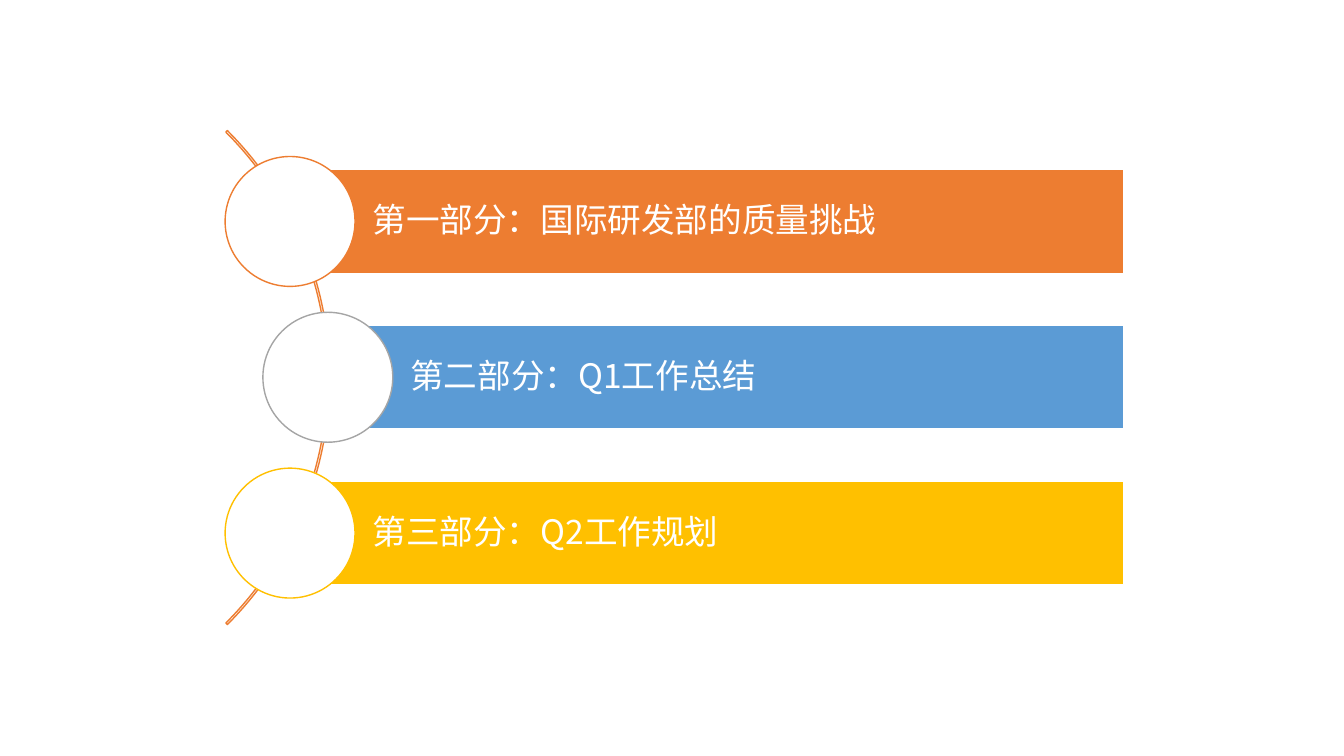
from pptx import Presentation
from pptx.dml.color import RGBColor
from pptx.enum.shapes import MSO_SHAPE
from pptx.enum.text import MSO_ANCHOR, PP_ALIGN
from pptx.oxml.ns import qn
from pptx.util import Pt

ARC, BAR, DISC = MSO_SHAPE.BLOCK_ARC, MSO_SHAPE.RECTANGLE, MSO_SHAPE.OVAL
MIDDLE, LEFT = MSO_ANCHOR.MIDDLE, PP_ALIGN.LEFT

WHITE = RGBColor(0xFF, 0xFF, 0xFF)
ORANGE = RGBColor(0xED, 0x7D, 0x31)
BLUE = RGBColor(0x5B, 0x9B, 0xD5)
GREY = RGBColor(0xA5, 0xA5, 0xA5)
GOLD = RGBColor(0xFF, 0xC0, 0x00)
FONT = "Noto Sans CJK SC"

# Agenda: heading, bar colour, disc outline, left edge of the bar
SECTIONS = [
    ("第一部分：国际研发部的质量挑战", ORANGE, ORANGE, 207.2),
    ("第二部分：Q1工作总结", BLUE, GREY, 234.2),
    ("第三部分：Q2工作规划", GOLD, GOLD, 207.2),
]

# Layout in points
SLIDE_W, SLIDE_H = 960, 540
ARC_LEFT, ARC_TOP, ARC_SIZE = -263.5, 20.2, 499
ARC_SHAPE = (189, 27, 0.00312)  # start angle, end angle, thickness
BAR_RIGHT, BAR_H = 802.8, 74.2
FIRST_CENTRE, PITCH = 158.2, 111.3
DISC_SIZE = 92.8

FRAME_FORMAT = {
    "margin_left": Pt(58.9), "margin_right": Pt(5), "margin_top": Pt(5),
    "margin_bottom": Pt(5), "vertical_anchor": MIDDLE, "word_wrap": True,
}
PARAGRAPH_FORMAT = {"alignment": LEFT, "line_spacing": 0.9}
FONT_FORMAT = {"name": FONT, "size": Pt(24), "bold": False}


def apply(target, values):
    for name, value in values.items():
        setattr(target, name, value)


def add_part(slide, kind, left, top, width, height, fill, outline):
    part = slide.shapes.add_shape(kind, Pt(left), Pt(top), Pt(width), Pt(height))
    part.shadow.inherit = False
    if fill is None:
        part.fill.background()
    else:
        part.fill.solid()
        part.fill.fore_color.rgb = fill
    part.line.color.rgb = outline
    part.line.width = Pt(1)
    return part


def write_heading(bar, heading):
    frame = bar.text_frame
    apply(frame, FRAME_FORMAT)
    paragraph = frame.paragraphs[0]
    apply(paragraph, PARAGRAPH_FORMAT)
    run = paragraph.add_run()
    run.text = heading
    apply(run.font, FONT_FORMAT)
    run.font.color.rgb = WHITE
    # East Asian typeface
    latin = run.font._element.find(qn("a:latin"))
    east_asian = latin.makeelement(qn("a:ea"), {"typeface": FONT})
    latin.addnext(east_asian)


def main():
    deck = Presentation()
    deck.slide_width, deck.slide_height = Pt(SLIDE_W), Pt(SLIDE_H)
    slide = deck.slides.add_slide(deck.slide_layouts[6])

    # Arc running behind the discs
    arc = add_part(slide, ARC, ARC_LEFT, ARC_TOP, ARC_SIZE, ARC_SIZE, None, ORANGE)
    for index, value in enumerate(ARC_SHAPE):
        arc.adjustments[index] = value

    # One bar per section, with a disc centred on its left edge
    for index, (heading, colour, outline, left) in enumerate(SECTIONS):
        centre = FIRST_CENTRE + index * PITCH
        bar = add_part(slide, BAR, left, centre - BAR_H / 2,
                       BAR_RIGHT - left, BAR_H, colour, WHITE)
        write_heading(bar, heading)
        add_part(slide, DISC, left - DISC_SIZE / 2, centre - DISC_SIZE / 2,
                 DISC_SIZE, DISC_SIZE, WHITE, outline)

    deck.save("out.pptx")


if __name__ == "__main__":
    main()
